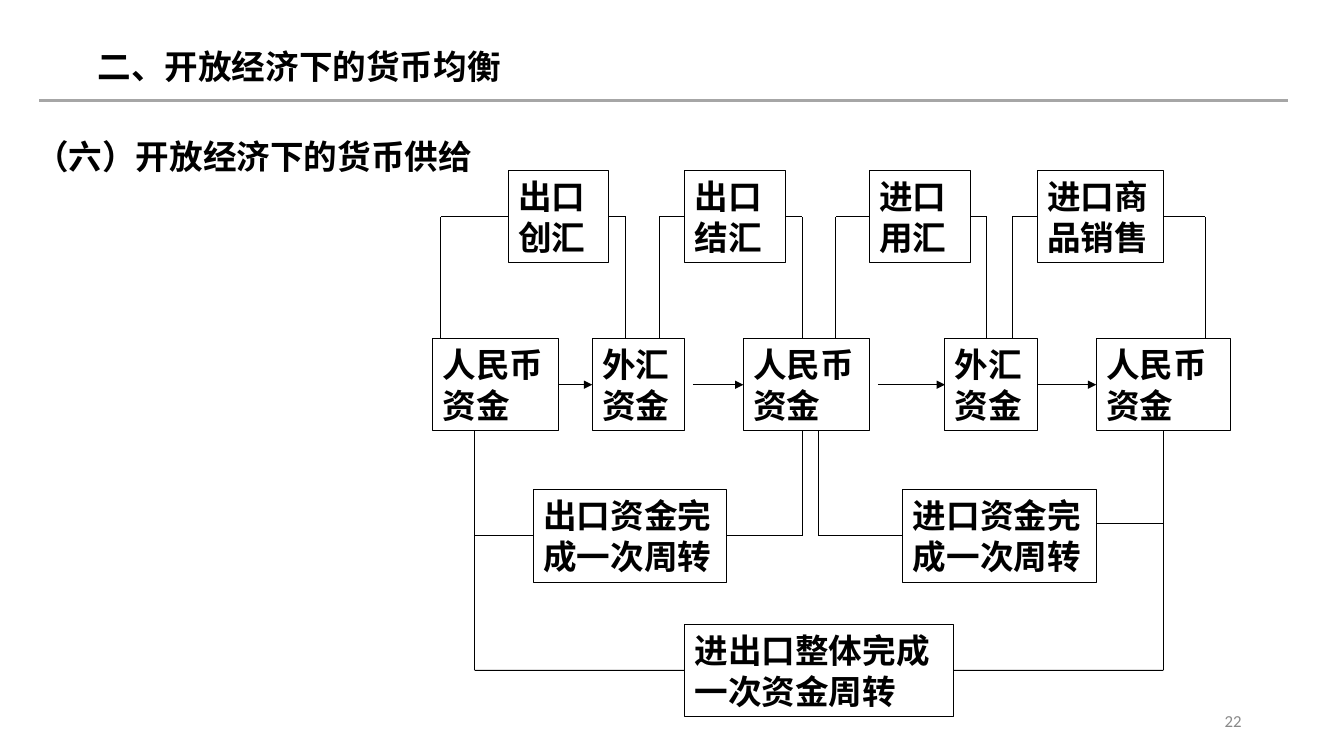
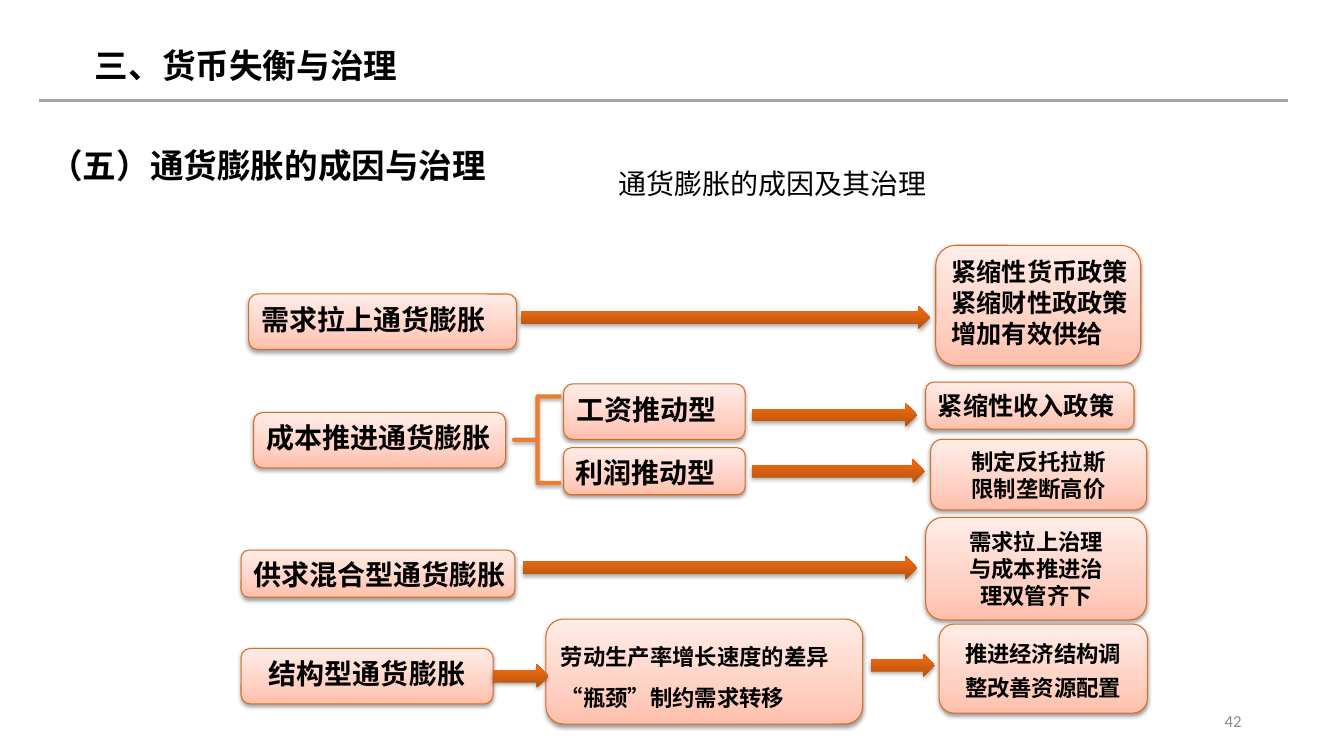
"""Build two slides on money in an open economy and on inflation control."""
from dataclasses import dataclass

from lxml import etree
from pptx import Presentation
from pptx.dml.color import RGBColor
from pptx.enum.shapes import MSO_CONNECTOR, MSO_SHAPE
from pptx.enum.text import MSO_ANCHOR, MSO_AUTO_SIZE, PP_ALIGN
from pptx.oxml import parse_xml
from pptx.oxml.ns import nsdecls, qn
from pptx.util import Inches, Pt

STRAIGHT = MSO_CONNECTOR.STRAIGHT
RECTANGLE, ROUNDED = MSO_SHAPE.RECTANGLE, MSO_SHAPE.ROUNDED_RECTANGLE
ARROW, BRACE = MSO_SHAPE.RIGHT_ARROW, MSO_SHAPE.LEFT_BRACE
LEFT, CENTER, RIGHT = PP_ALIGN.LEFT, PP_ALIGN.CENTER, PP_ALIGN.RIGHT
TOP, MIDDLE = MSO_ANCHOR.TOP, MSO_ANCHOR.MIDDLE
TOP_SIDE, LEFT_SIDE, BOTTOM_SIDE, RIGHT_SIDE = range(4)


@dataclass(frozen=True)
class Theme:
    font: str = "Noto Sans CJK SC"
    number_font: str = "Calibri"
    ink: str = "000000"
    muted: str = "898989"
    rule: str = "A6A6A6"
    card_edge: str = "D66E26"
    brace_edge: str = "ED7D31"
    card_stops: tuple = ((0, "FFBFAB"), (35, "FFD1C4"), (100, "FFEDE8"))
    arrow_stops: tuple = ((0, "B4510D"), (80, "E96911"), (100, "EF690D"))
    heading: int = 24
    label: int = 20
    policy: int = 18
    detail: int = 16
    number: int = 12
    single: float = 1.22


THEME = Theme()
COLUMNS, ROWS = 160, 90
CELL = 1 / 12


def grid(*cells):
    """Turn columns and rows into lengths."""
    return [Inches(cell * CELL) for cell in cells]


def write(box, text, size, bold=True, align=LEFT, spacing=1, wrap=True,
          anchor=TOP, font=THEME.font, color=THEME.ink):
    """Fill a box with one formatted paragraph per line of text."""
    frame = box.text_frame
    frame.text = text
    frame_format = {"word_wrap": wrap, "auto_size": MSO_AUTO_SIZE.NONE,
                    "vertical_anchor": anchor,
                    "margin_left": Inches(0.1), "margin_right": Inches(0.1),
                    "margin_top": Inches(0.05), "margin_bottom": Inches(0.05)}
    for name, value in frame_format.items():
        setattr(frame, name, value)
    para_format = {"alignment": align, "space_before": Pt(0),
                   "line_spacing": Pt(round(size * THEME.single * spacing, 1))}
    span_format = {"size": Pt(size), "bold": bold, "name": font}
    for para in frame.paragraphs:
        for name, value in para_format.items():
            setattr(para, name, value)
        for span in para.runs:
            for name, value in span_format.items():
                setattr(span.font, name, value)
            span.font.color.rgb = RGBColor.from_string(color)
            east_asian = etree.SubElement(span.font._element, qn("a:ea"))
            east_asian.set("typeface", font)


deck = Presentation()
deck.slide_width, deck.slide_height = grid(COLUMNS, ROWS)
title_only = deck.slide_layouts[5]

pages, wires = [], []
headers = [
    ("二、开放经济下的货币均衡", (10.4, 4.8), "（六）开放经济下的货币供给", (3, 14.5), "22"),
    ("三、货币失衡与治理", (10.1, 4.7), "（五）通货膨胀的成因与治理", (4.7, 15.6), "42"),
]
for title, title_spot, heading, heading_spot, number in headers:
    page = deck.slides.add_slide(title_only)
    pages.append(page)
    box = page.shapes.title
    box.left, box.top, box.width, box.height = grid(*title_spot, 80, 6)
    write(box, title, THEME.heading)
    box = page.shapes.add_textbox(*grid(*heading_spot, 55, 7))
    write(box, heading, THEME.heading, spacing=1.2, wrap=False)
    box = page.shapes.add_textbox(*grid(113, 83.4, 36, 4.8))
    write(box, number, THEME.number, bold=False, align=RIGHT, anchor=MIDDLE,
          font=THEME.number_font, color=THEME.muted)
    wires.append((page, (4.7, 12, 153.3, 12), THEME.rule, 2.25, False, None, None))

money_page, inflation_page = pages

BOX_ROWS = 11
STEP_ROW, TRADE_ROW, CYCLE_ROW, TOTAL_ROW = 20.3, 40.3, 58.3, 74.3
MIDDLE_ROW = BOX_ROWS / 2
funds = [("人民币资金", 51.5, TRADE_ROW, 15), ("外汇资金", 70.5, TRADE_ROW, 11),
         ("人民币资金", 88.5, TRADE_ROW, 15), ("外汇资金", 112.5, TRADE_ROW, 11),
         ("人民币资金", 130.5, TRADE_ROW, 16)]
brackets = [
    ("出口创汇", 60.5, STEP_ROW, 12, 52.5, 74.5, 0),
    ("出口结汇", 81.5, STEP_ROW, 12, 78.5, 95.5, 0),
    ("进口用汇", 103.5, STEP_ROW, 12, 99.5, 117.5, 0),
    ("进口商品销售", 123.5, STEP_ROW, 15, 120.5, 143.5, 0),
    ("出口资金完成一次周转", 63.5, CYCLE_ROW, 23, 56.5, 95.5, 0),
    ("进口资金完成一次周转", 107.5, CYCLE_ROW, 23, 97.5, 138.5, 1.5),
    ("进出口整体完成一次资金周转", 81.5, TOTAL_ROW, 32, 56.5, 138.5, 0),
]
boxes = []
for text, column, row, width in funds + [bracket[:4] for bracket in brackets]:
    box = money_page.shapes.add_shape(RECTANGLE, *grid(column, row, width, BOX_ROWS))
    box.shadow.inherit = False
    box.fill.background()
    box.line.color.rgb = RGBColor.from_string(THEME.ink)
    box.line.width = Pt(0.75)
    write(box, text, THEME.heading)
    boxes.append(box)

black = (THEME.ink, 0.75)
flow_row = TRADE_ROW + MIDDLE_ROW
for index, gap in enumerate((0, 1, 1, 0)):
    start = funds[index][1] + funds[index][3] + gap
    end = funds[index + 1][1]
    source = None if gap else (boxes[index], RIGHT_SIDE)
    wires.append((money_page, (start, flow_row, end, flow_row), *black, True,
                  source, (boxes[index + 1], LEFT_SIDE)))

legs = {}
for box, bracket in zip(boxes[len(funds):], brackets):
    text, column, row, width, left_leg, right_leg, rise = bracket
    base = TRADE_ROW if row < TRADE_ROW else TRADE_ROW + BOX_ROWS
    level = row + MIDDLE_ROW
    legs[left_leg, base] = legs[right_leg, base] = level
    wires.append((money_page, (left_leg, level, column, level), *black, False,
                  None, (box, LEFT_SIDE)))
    wires.append((money_page, (column + width, level - rise, right_leg, level - rise),
                  *black, False, None if rise else (box, RIGHT_SIDE), None))
for (column, base), level in legs.items():
    wires.append((money_page, (column, base, column, level), *black, False, None, None))

for page, ends, color, weight, pointed, source, target in wires:
    wire = page.shapes.add_connector(STRAIGHT, *grid(*ends))
    wire.line.color.rgb = RGBColor.from_string(color)
    wire.line.width = Pt(weight)
    if pointed:
        etree.SubElement(wire.line._get_or_add_ln(), qn("a:tailEnd"), type="triangle")
    etree.SubElement(wire._element.spPr, qn("a:effectLst"))
    if source:
        wire.begin_connect(*source)
    if target:
        wire.end_connect(*target)

caption = inflation_page.shapes.add_textbox(*grid(72.1, 19.2, 39.7, 5.3))
write(caption, "通货膨胀的成因及其治理", THEME.label, bold=False, align=CENTER, wrap=False)

cards = [
    ("需求拉上通货膨胀", (29.6, 35, 31.9, 6.6), THEME.label, LEFT, 1),
    ("成本推进通货膨胀", (30.2, 49.1, 30, 6.6), THEME.label, LEFT, 1),
    ("供求混合型通货膨胀", (28.7, 65.5, 32.6, 5.6), THEME.label, LEFT, 1),
    ("结构型通货膨胀", (28.7, 77.2, 30, 6.6), THEME.label, CENTER, 1),
    ("工资推动型", (67.1, 45.7, 21.6, 6.6), THEME.label, LEFT, 1),
    ("利润推动型", (67.1, 53.3, 21.6, 5.6), THEME.label, LEFT, 1),
    ("劳动生产率增长速度的差异\n“瓶颈”制约需求转移", (65, 73.7, 37.7, 12.5),
     THEME.detail, LEFT, 1.5),
    ("紧缩性货币政策\n紧缩财性政政策\n增加有效供给", (111.4, 29.2, 24.4, 14.3),
     THEME.policy, LEFT, 1),
    ("紧缩性收入政策", (110.2, 45.5, 24.8, 5.6), THEME.policy, LEFT, 1),
    ("制定反托拉斯\n限制垄断高价", (110.8, 52.3, 25.7, 8.4), THEME.detail, CENTER, 1),
    ("需求拉上治理\n与成本推进治\n理双管齐下", (110.2, 61.6, 26.3, 12.2),
     THEME.detail, CENTER, 1),
    ("推进经济结构调\n整改善资源配置", (111.8, 74.3, 24.8, 10.6),
     THEME.detail, CENTER, 1.23),
]
ARROW_ROWS = 2.8
arrows = [(62, 36.4, 48.7), (89.5, 48, 19.7), (89.5, 54.7, 20.6),
          (62.3, 66.2, 46.9), (58.7, 79.1, 6.6), (103.7, 77.8, 7.6)]

glossy = []
for text, cells, size, align, spacing in cards:
    card = inflation_page.shapes.add_shape(ROUNDED, *grid(*cells))
    write(card, text, size, align=align, spacing=spacing, wrap=False)
    glossy.append((card, THEME.card_stops, THEME.card_edge, 0.75, 38, 1.6))
for cells in arrows:
    arrow = inflation_page.shapes.add_shape(ARROW, *grid(*cells, ARROW_ROWS))
    glossy.append((arrow, THEME.arrow_stops, None, 0, 35, 1.8))
brace = inflation_page.shapes.add_shape(BRACE, *grid(61.2, 47.2, 5.6, 10.3))
brace.adjustments[0] = 0
glossy.append((brace, None, THEME.brace_edge, 3, 35, 1.8))

for shape, stops, edge, weight, opacity, distance in glossy:
    shape.shadow.inherit = False
    properties = shape._element.spPr
    if edge:
        shape.line.color.rgb = RGBColor.from_string(edge)
        shape.line.width = Pt(weight)
    else:
        shape.line.fill.background()
    if stops:
        marks = "".join(f'<a:gs pos="{share * 1000}"><a:srgbClr val="{color}"/></a:gs>'
                        for share, color in stops)
        properties.insert(2, parse_xml(
            f'<a:gradFill {nsdecls("a")} rotWithShape="1"><a:gsLst>{marks}</a:gsLst>'
            '<a:lin ang="16200000" scaled="0"/></a:gradFill>'))
    else:
        shape.fill.background()
    properties.find(qn("a:effectLst")).append(parse_xml(
        f'<a:outerShdw {nsdecls("a")} blurRad="{Pt(3.1)}" dist="{Pt(distance)}" '
        f'dir="5400000" rotWithShape="0"><a:srgbClr val="{THEME.ink}">'
        f'<a:alpha val="{opacity * 1000}"/></a:srgbClr></a:outerShdw>'))

deck.save("out.pptx")
